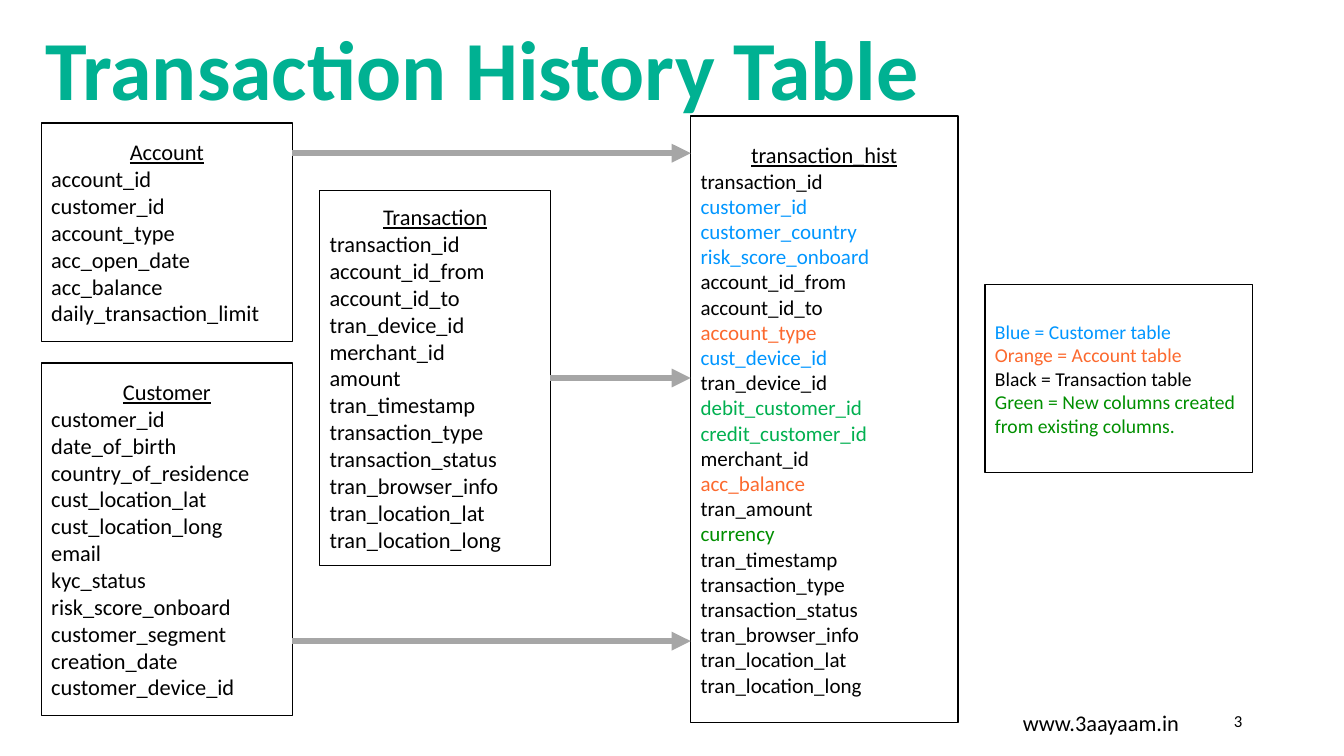
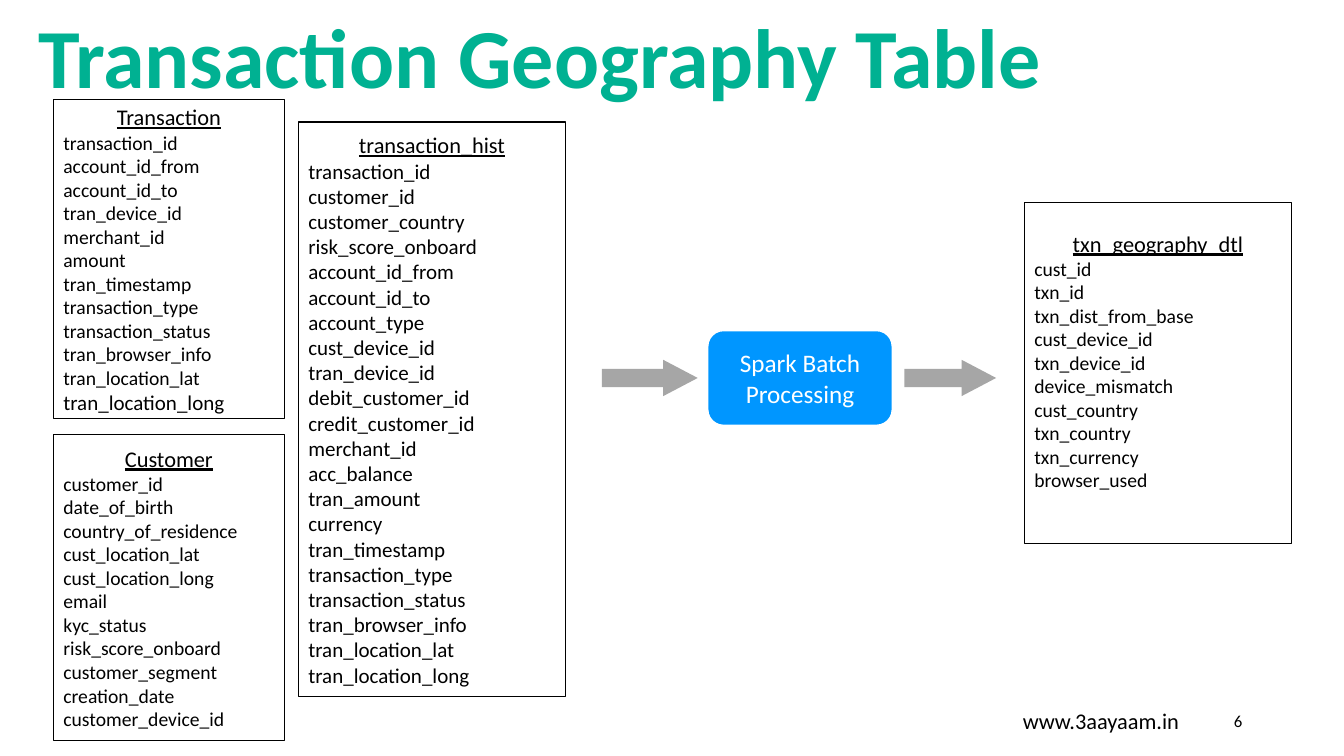
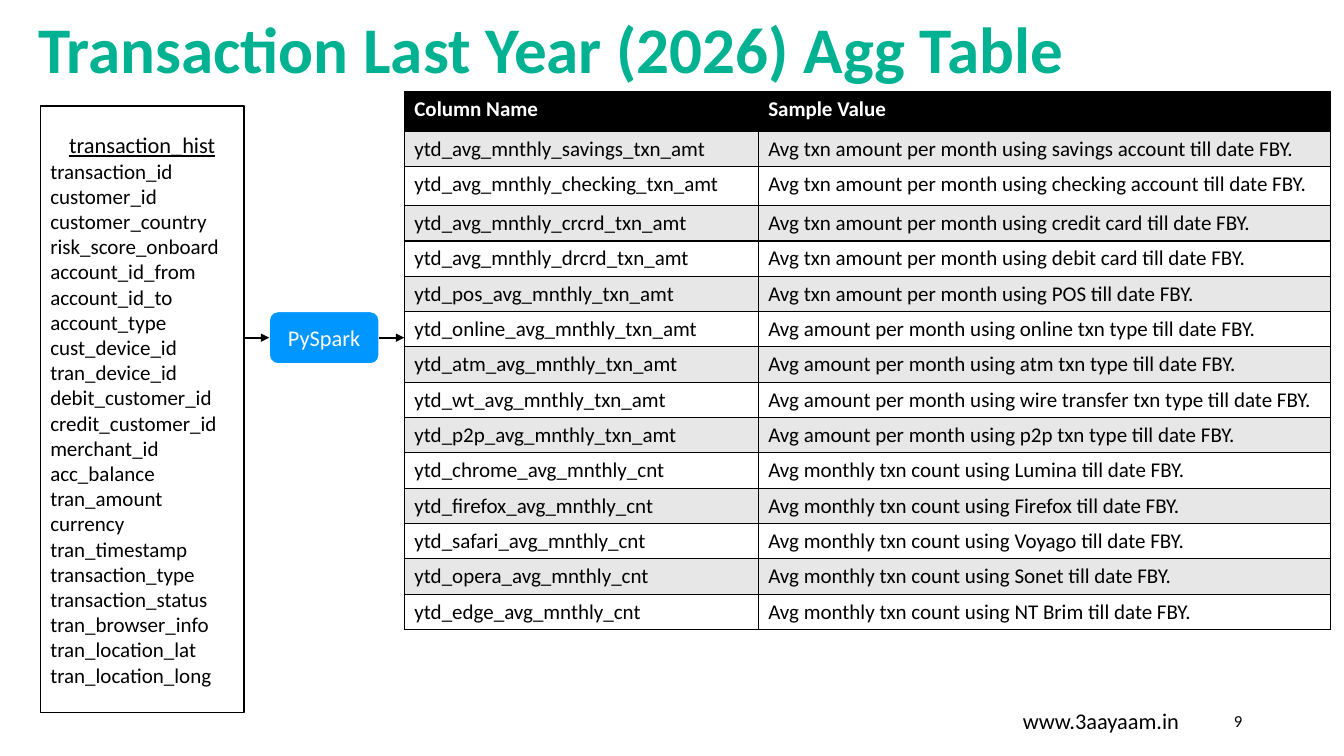
"""Build three slides that map bank source tables to derived tables."""
from lxml import etree
from pptx import Presentation, util as u
from pptx.dml.color import RGBColor
from pptx.enum import shapes, text
from pptx.oxml.ns import qn

PX = 9144
FONT = "Calibri"
BLACK = RGBColor(0, 0, 0)
WHITE = RGBColor(255, 255, 255)
TEAL = RGBColor(0x00, 0xB1, 0x92)
BLUE = RGBColor(0x00, 0x96, 0xFF)
ORANGE = RGBColor(0xFC, 0x69, 0x2E)
GREEN = RGBColor(0x00, 0x8F, 0x00)
LEAF = RGBColor(0x00, 0xB0, 0x50)
GRAY = RGBColor(0xA6, 0xA6, 0xA6)
PALE = RGBColor(0xE7, 0xE7, 0xE7)
LEFT, MID, RIGHT = text.PP_ALIGN.LEFT, text.PP_ALIGN.CENTER, text.PP_ALIGN.RIGHT
KIND = shapes.MSO_SHAPE

SITE = "www.3aayaam.in"
ACCOUNT = ["account_id", "customer_id", "account_type", "acc_open_date",
           "acc_balance", "daily_transaction_limit"]
CUSTOMER = ["customer_id", "date_of_birth", "country_of_residence",
            "cust_location_lat", "cust_location_long", "email", "kyc_status",
            "risk_score_onboard", "customer_segment", "creation_date",
            "customer_device_id"]
DETAIL = ["tran_timestamp", "transaction_type", "transaction_status",
          "tran_browser_info", "tran_location_lat", "tran_location_long"]
TRAN = ["transaction_id", "account_id_from", "account_id_to",
        "tran_device_id", "merchant_id", "amount"] + DETAIL
HIST = ["transaction_id", "customer_id", "customer_country",
        "risk_score_onboard", "account_id_from", "account_id_to",
        "account_type", "cust_device_id", "tran_device_id",
        "debit_customer_id", "credit_customer_id", "merchant_id",
        "acc_balance", "tran_amount", "currency"] + DETAIL
GEO = ["cust_id", "txn_id", "txn_dist_from_base", "cust_device_id",
       "txn_device_id", "device_mismatch", "cust_country", "txn_country",
       "txn_currency", "browser_used"]
TINTS = {
    "customer_id": BLUE, "customer_country": BLUE, "risk_score_onboard": BLUE,
    "cust_device_id": BLUE, "account_type": ORANGE, "acc_balance": ORANGE,
    "debit_customer_id": LEAF, "credit_customer_id": LEAF, "currency": GREEN,
}
LEGEND = {
    "Blue = Customer table": BLUE,
    "Orange = Account table": ORANGE,
    "Black = Transaction table": BLACK,
    "Green = New columns created from existing columns.": GREEN,
}
AGG = [
    ("Column Name", "Sample Value"),
    ("ytd_avg_mnthly_savings_txn_amt",
     "Avg txn amount per month using savings account till date FBY."),
    ("ytd_avg_mnthly_checking_txn_amt",
     "Avg txn amount per month using checking account till date FBY."),
    ("ytd_avg_mnthly_crcrd_txn_amt",
     "Avg txn amount per month using credit card till date FBY."),
    ("ytd_avg_mnthly_drcrd_txn_amt",
     "Avg txn amount per month using debit card till date FBY."),
    ("ytd_pos_avg_mnthly_txn_amt",
     "Avg txn amount per month using POS till date FBY."),
    ("ytd_online_avg_mnthly_txn_amt",
     "Avg amount per month using online txn type till date FBY."),
    ("ytd_atm_avg_mnthly_txn_amt",
     "Avg amount per month using atm txn type till date FBY."),
    ("ytd_wt_avg_mnthly_txn_amt",
     "Avg amount per month using wire transfer txn type till date FBY."),
    ("ytd_p2p_avg_mnthly_txn_amt",
     "Avg amount per month using p2p txn type till date FBY."),
    ("ytd_chrome_avg_mnthly_cnt",
     "Avg monthly txn count using Lumina till date FBY."),
    ("ytd_firefox_avg_mnthly_cnt",
     "Avg monthly txn count using Firefox till date FBY."),
    ("ytd_safari_avg_mnthly_cnt",
     "Avg monthly txn count using Voyago till date FBY."),
    ("ytd_opera_avg_mnthly_cnt",
     "Avg monthly txn count using Sonet till date FBY."),
    ("ytd_edge_avg_mnthly_cnt",
     "Avg monthly txn count using NT Brim till date FBY."),
]
COLS = (351, 568)
TALL = (0, 2)


def write(frame, words, size=16, color=BLACK, align=LEFT, bold=False,
          under=False, lead=None, more=False):
    para = frame.add_paragraph() if more else frame.paragraphs[0]
    para.alignment = align
    if lead:
        para.line_spacing = lead
    run = para.add_run()
    run.text = words
    font = run.font
    font.name, font.size, font.bold, font.underline = FONT, u.Pt(size), bold, under
    font.color.rgb = color


def place(*area):
    return [n * PX for n in area]


def label(slide, area, words, **form):
    frame = slide.shapes.add_textbox(*place(*area)).text_frame
    frame.word_wrap = True
    frame.vertical_anchor = text.MSO_ANCHOR.MIDDLE
    write(frame, words, **form)


def shape(slide, area, kind=KIND.RECTANGLE, fill=WHITE, line=BLACK):
    item = slide.shapes.add_shape(kind, *place(*area))
    item.shadow.inherit = False
    item.fill.solid()
    item.fill.fore_color.rgb = fill
    if line is None:
        item.line.fill.background()
    else:
        item.line.color.rgb = line
        item.line.width = u.Pt(1)
    item.text_frame.word_wrap = True
    item.text_frame.vertical_anchor = text.MSO_ANCHOR.MIDDLE
    return item


def entity(slide, area, name, fields, size=16, tints={}, sizes={}):
    item = shape(slide, area)
    write(item.text_frame, name, align=MID, under=True)
    for field in fields:
        write(item.text_frame, field, size=sizes.get(field, size),
              color=tints.get(field, BLACK), more=True)
    return item


def step(slide, area, words, size):
    item = shape(slide, area, KIND.ROUNDED_RECTANGLE, BLUE, WHITE)
    write(item.text_frame, words, size=size, color=WHITE, align=MID)
    return item


def arrow(slide, start, end, y, color, width, tail=None, head=None):
    link = slide.shapes.add_connector(shapes.MSO_CONNECTOR.STRAIGHT,
                                      *place(start, y, end, y))
    link.line.color.rgb = color
    link.line.width = u.Pt(width)
    props = link._element.spPr
    etree.SubElement(props.find(qn("a:ln")), qn("a:tailEnd"), type="triangle")
    etree.SubElement(props, qn("a:effectLst"))
    if tail:
        link.begin_connect(tail, 3)
    if head:
        link.end_connect(head, 1)


def border(cell):
    props = cell._tc.get_or_add_tcPr()
    for side in "LRTB":
        line = etree.SubElement(props, qn("a:ln" + side), w=str(u.Pt(1)))
        fill = etree.SubElement(line, qn("a:solidFill"))
        etree.SubElement(fill, qn("a:srgbClr"), val=str(BLACK))


def grid(slide, left, top):
    heights = [39 if r in TALL else 35 for r in range(len(AGG))]
    table = slide.shapes.add_table(
        len(AGG), len(COLS), *place(left, top, sum(COLS), sum(heights))).table
    for c, width in enumerate(COLS):
        table.columns[c].width = width * PX
    for r, row in enumerate(AGG):
        table.rows[r].height = heights[r] * PX
        fill = PALE if r % 2 else WHITE if r else BLACK
        for c, words in enumerate(row):
            cell = table.cell(r, c)
            border(cell)
            cell.fill.solid()
            cell.fill.fore_color.rgb = fill
            write(cell.text_frame, words, size=15, bold=r == 0,
                  color=BLACK if r else WHITE)


def start(deck, title, page, left=28, top=-7, foot=695, size=60, lead=None):
    slide = deck.slides.add_slide(deck.slide_layouts[6])
    label(slide, (974, foot, 236, 40), SITE, align=MID)
    label(slide, (942, 695, 300, 40), str(page), size=12, align=RIGHT)
    label(slide, (left, top, 1257, 123), title, size=size, color=TEAL,
          bold=True, lead=lead)
    return slide


def history(deck):
    slide = start(deck, "Transaction History Table", 3, left=35, top=5, foot=697)
    entity(slide, (685, 115, 265, 602), "transaction_hist", HIST, 15, TINTS)
    tran = entity(slide, (317, 189, 229, 372), "Transaction", TRAN)
    entity(slide, (41, 122, 249, 217), "Account", ACCOUNT)
    entity(slide, (41, 360, 249, 350), "Customer", CUSTOMER)
    key = shape(slide, (977, 282, 265, 187))
    for n, (words, color) in enumerate(LEGEND.items()):
        write(key.text_frame, words, size=14, color=color, more=n > 0)
    for left, y, tail in (290, 152, None), (290, 636, None), (546, 375, tran):
        arrow(slide, left, 685, y, GRAY, 4.5, tail)


def geography(deck):
    slide = start(deck, "Transaction Geography Table", 6)
    geo = entity(slide, (1016, 201, 265, 338), "txn_geography_dtl", GEO, 14)
    geo.text_frame.margin_bottom = 29 * PX
    step(slide, (702, 328, 183, 94), "Spark Batch Processing", 18)
    for left, width in (597, 95), (897, 91):
        block = shape(slide, (left, 357, width, 36), KIND.RIGHT_ARROW, GRAY, None)
        block.adjustments[1] = 0.95
    entity(slide, (53, 99, 229, 316), "Transaction", TRAN, 14,
           sizes={"tran_location_long": 15})
    entity(slide, (53, 431, 229, 304), "Customer", CUSTOMER, 14)
    entity(slide, (296, 121, 265, 570), "transaction_hist", HIST, 15)


def yearly(deck):
    slide = start(deck, "Transaction Last Year (2026) Agg Table", 9,
                  size=46.5, lead=0.8)
    entity(slide, (40, 105, 202, 602), "transaction_hist", HIST, 15)
    grid(slide, 401, 91)
    spark = step(slide, (267, 309, 109, 52), "PySpark", 16)
    arrow(slide, 242, 267, 335, BLACK, 1.5, head=spark)
    arrow(slide, 376, 401, 335, BLACK, 1.5, tail=spark)


def main():
    deck = Presentation()
    deck.slide_width, deck.slide_height = place(1333, 750)
    for build in history, geography, yearly:
        build(deck)
    deck.save("out.pptx")


if __name__ == "__main__":
    main()
